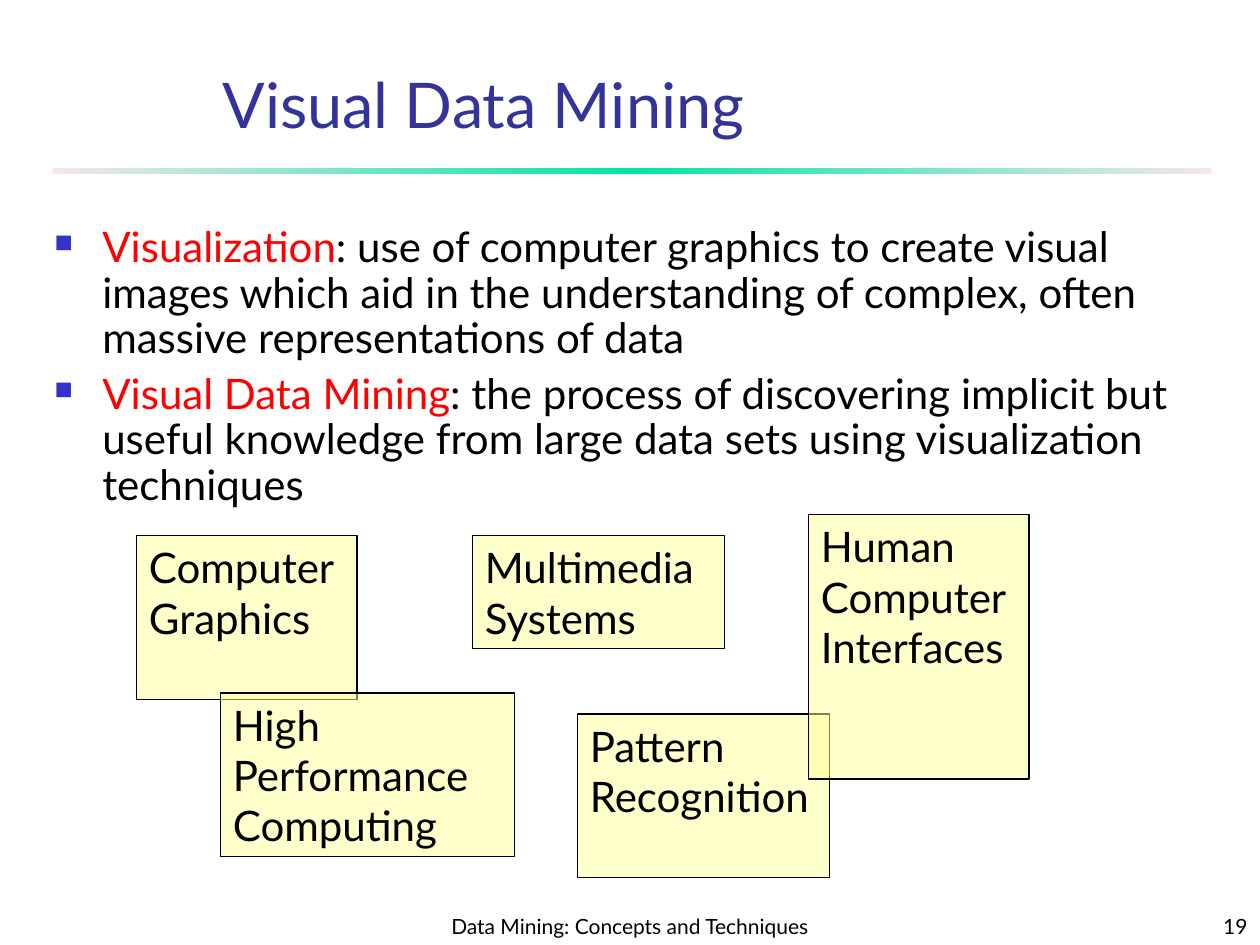
from dataclasses import dataclass

from pptx import Presentation
from pptx.dml.color import RGBColor as RGB
from pptx.enum.shapes import MSO_SHAPE as SHAPE
from pptx.enum.text import MSO_ANCHOR as ANCHOR, MSO_AUTO_SIZE as AUTO, PP_ALIGN as ALIGN
from pptx.oxml import parse_xml
from pptx.oxml.ns import nsdecls
from pptx.util import Inches, Pt


@dataclass(frozen=True)
class Theme:
    font: str = "Lato"
    title: str = "333399"
    text: str = "000000"
    term: str = "FF0000"
    bullet: str = "3333CC"
    box: str = "FFFF99"
    rule_end: str = "F6E6EA"
    rule_mid: str = "00E4A8"
    title_size: int = 36
    body_size: int = 24
    footer_size: int = 12


class Deck:
    CELL = Inches(1) / 12

    def __init__(self, theme):
        self.theme = theme
        self.prs = Presentation()
        self.prs.slide_width, self.prs.slide_height = Inches(10), Inches(7.5)
        self.s = self.prs.slides.add_slide(self.prs.slide_layouts[5])

    def grid(self, *cells):
        return [round(c * self.CELL) for c in cells]

    def run(self, p, text, size, color):
        r = p.add_run()
        r.text = text
        r.font.name, r.font.size = self.theme.font, Pt(size)
        r.font.color.rgb = RGB.from_string(color)

    def frame(self, sp, anchor=ANCHOR.TOP, align=ALIGN.LEFT):
        tf = sp.text_frame
        tf.word_wrap, tf.auto_size = True, AUTO.NONE
        tf.vertical_anchor = anchor
        tf.paragraphs[0].alignment = align
        return tf

    def title(self, text, *cells):
        sp = self.s.shapes.title
        sp.left, sp.top, sp.width, sp.height = self.grid(*cells)
        tf = self.frame(sp, ANCHOR.BOTTOM)
        self.run(tf.paragraphs[0], text, self.theme.title_size, self.theme.title)

    def rect(self, *cells):
        sp = self.s.shapes.add_shape(SHAPE.RECTANGLE, *self.grid(*cells))
        sp.shadow.inherit = False
        return sp

    def rule(self, *cells):
        sp = self.rect(*cells)
        sp.line.fill.background()
        sp.fill.gradient()
        sp.fill.gradient_angle = 0
        for stop in sp.fill.gradient_stops:
            stop.color.rgb = RGB.from_string(self.theme.rule_end)
        stops = sp._element.spPr.find(".//{*}gsLst")
        stops.insert(1, parse_xml(
            f'<a:gs {nsdecls("a")} pos="50000"><a:srgbClr val="{self.theme.rule_mid}"/></a:gs>'))

    def bullets(self, items, *cells):
        t = self.theme
        tf = self.frame(self.s.shapes.add_textbox(*self.grid(*cells)))
        for i, (term, meaning) in enumerate(items):
            p = tf.add_paragraph() if i else tf.paragraphs[0]
            p.line_spacing, p.space_before = 0.9, Pt(6)
            pPr = p._p.get_or_add_pPr()
            pPr.set("marL", str(Inches(0.38)))
            pPr.set("indent", str(-Inches(0.38)))
            for tag in (f'buClr {nsdecls("a")}><a:srgbClr val="{t.bullet}"/></a:buClr>',
                        f'buSzPct {nsdecls("a")} val="60000"/>',
                        f'buChar {nsdecls("a")} char="■"/>'):
                pPr.append(parse_xml("<a:" + tag))
            self.run(p, term, t.body_size, t.term)
            self.run(p, meaning, t.body_size, t.text)

    def box(self, text, *cells):
        t = self.theme
        sp = self.rect(*cells)
        sp.fill.solid()
        sp.fill.fore_color.rgb = RGB.from_string(t.box)
        color = sp._element.spPr.find("{*}solidFill/{*}srgbClr")
        color.append(parse_xml(f'<a:alpha {nsdecls("a")} val="50000"/>'))
        sp.line.color.rgb, sp.line.width = RGB.from_string(t.text), Pt(0.75)
        self.run(self.frame(sp).paragraphs[0], text, t.body_size, t.text)

    def footer(self, text, align, *cells):
        sp = self.s.shapes.add_textbox(*self.grid(*cells))
        tf = self.frame(sp, ANCHOR.BOTTOM, align)
        self.run(tf.paragraphs[0], text, self.theme.footer_size, self.theme.text)


DEFINITIONS = [
    ("Visualization", ": use of computer graphics to create visual images which aid in "
     "the understanding of complex, often massive representations of data"),
    ("Visual Data Mining", ": the process of discovering implicit but useful knowledge "
     "from large data sets using visualization techniques"),
]
FIELDS = [
    ("Computer Graphics", 13, 51, 21, 15.6),
    ("High Performance Computing", 21, 66, 28, 15.6),
    ("Pattern Recognition", 55, 68, 24, 15.6),
    ("Human Computer Interfaces", 77, 49, 21, 25.2),
    ("Multimedia Systems", 45, 51, 24, 10.8),
]


def main():
    deck = Deck(Theme())
    deck.rule(5, 16, 110.4, 0.6)
    deck.title("Visual Data Mining", 20, 6, 78, 8)
    deck.bullets(DEFINITIONS, 4, 21, 112, 29)
    for field in FIELDS:
        deck.box(*field)
    deck.footer("Data Mining: Concepts and Techniques", ALIGN.CENTER, 41, 85, 38, 5)
    deck.footer("19", ALIGN.RIGHT, 95, 85, 25, 5)
    deck.prs.save("out.pptx")


if __name__ == "__main__":
    main()
